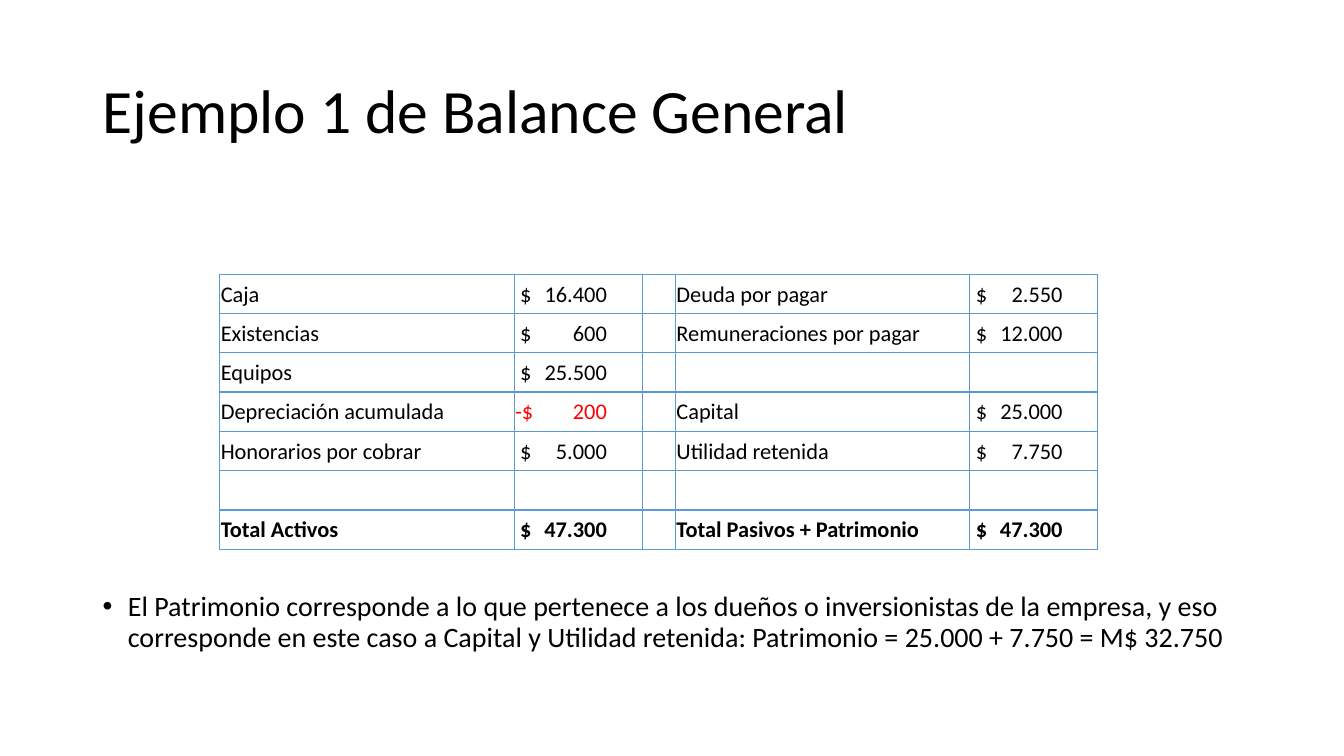
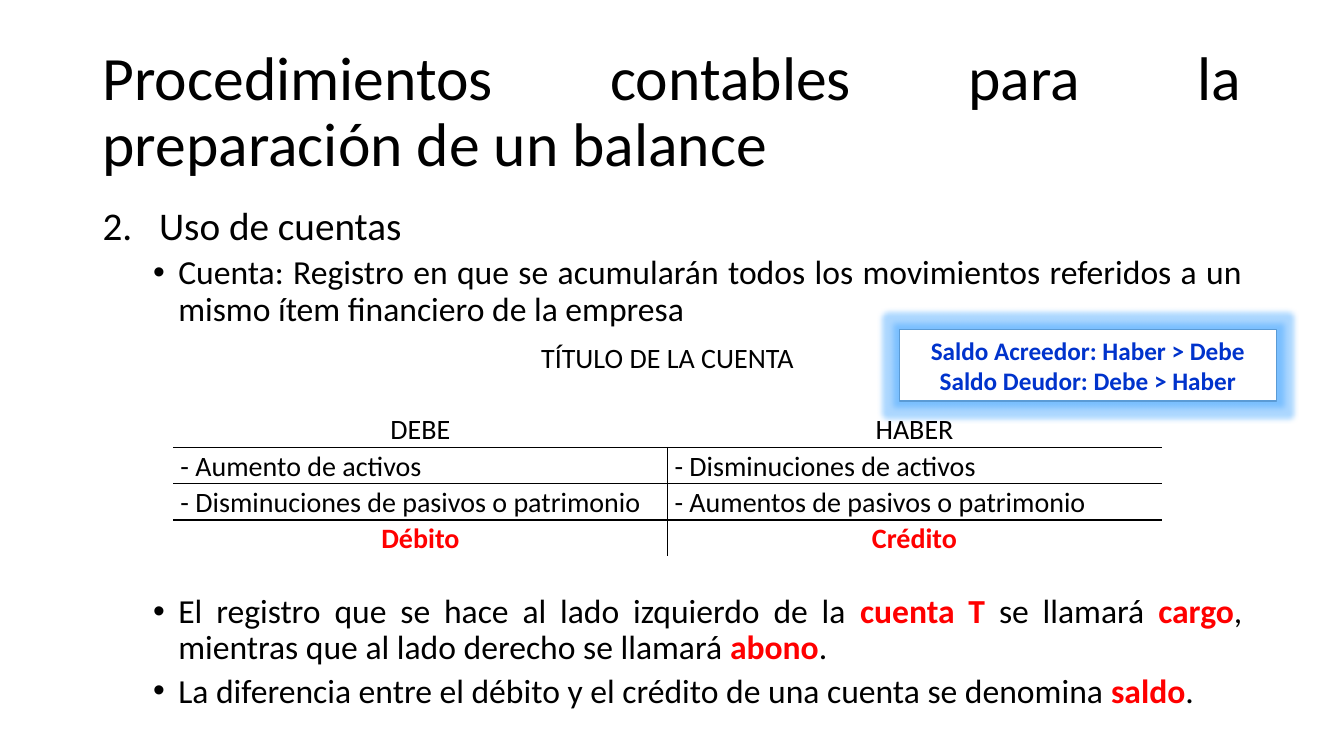
from dataclasses import dataclass

from lxml import etree
from pptx import Presentation
from pptx.dml.color import RGBColor
from pptx.enum.shapes import MSO_SHAPE
from pptx.enum.text import MSO_ANCHOR, PP_ALIGN
from pptx.oxml.ns import qn
from pptx.util import Pt

LEFT, CENTER, JUSTIFY = PP_ALIGN.LEFT, PP_ALIGN.CENTER, PP_ALIGN.JUSTIFY
TOP, MIDDLE, BOTTOM = MSO_ANCHOR.TOP, MSO_ANCHOR.MIDDLE, MSO_ANCHOR.BOTTOM
RECTANGLE = MSO_SHAPE.RECTANGLE

PX = 9144  # EMU in one px, 100 px to the inch
FONT = "Calibri"
COLORS = {
    "text": "000000",
    "accent": "FF0000",
    "grid": "5B9BD5",
    "balance": "0033CC",
    "paper": "FFFFFF",
}
NO_STYLE = "{2D5ABB26-0587-4C30-8999-92F81FD0307C}"
BODY_LEFT, BODY_WIDTH = 92, 1150
AMOUNT_END = 92  # right edge of the figures inside an amount cell
CELL_GAP = 1


@dataclass(frozen=True)
class Bullet:
    mark: str
    indent: int
    hang: int
    start: int = 0


@dataclass(frozen=True)
class Item:
    text: str
    bullet: Bullet
    size: int
    align: PP_ALIGN = JUSTIFY
    before: int = 0


@dataclass(frozen=True)
class BalanceRow:
    asset: str = ""
    asset_amount: str = ""
    claim: str = ""
    claim_amount: str = ""
    bold: bool = False


@dataclass(frozen=True)
class AccountRow:
    height: int
    debit: str = ""
    credit: str = ""
    align: PP_ALIGN = CENTER
    debit_lines: str = ""
    credit_lines: str = ""


NUMBER_TWO = Bullet("arabicPeriod", 56, 56, start=2)
DOT = Bullet("•", 25, 25)
SUB_DOT = Bullet("•", 75, 25)

BALANCE = [
    BalanceRow("Caja", "$\t16.400", "Deuda por pagar", "$\t2.550"),
    BalanceRow("Existencias", "$\t600", "Remuneraciones por pagar", "$\t12.000"),
    BalanceRow("Equipos", "$\t25.500"),
    BalanceRow("Depreciación acumulada", "-$\t200", "Capital", "$\t25.000"),
    BalanceRow("Honorarios por cobrar", "$\t5.000", "Utilidad retenida", "$\t7.750"),
    BalanceRow(),
    BalanceRow("Total Activos", "$\t47.300", "Total Pasivos + Patrimonio", "$\t47.300", bold=True),
]
ACCOUNT = [
    AccountRow(35, "TÍTULO DE LA CUENTA"),
    AccountRow(33),
    AccountRow(38, "DEBE", "HABER", CENTER, "B", "B"),
    AccountRow(36, "- Aumento de activos", "- Disminuciones de activos", LEFT, "TRB", "LTB"),
    AccountRow(36, "- Disminuciones de pasivos o patrimonio",
               "- Aumentos de pasivos o patrimonio", LEFT, "TRB", "LTB"),
    AccountRow(36, "*Débito*", "*Crédito*", CENTER, "TR", "LT"),
]


def px(*lengths):
    return [length * PX for length in lengths]


def rgb(name):
    return RGBColor.from_string(COLORS[name])


def child(parent, tag, **attributes):
    element = etree.SubElement(parent, qn(tag))
    for key, value in attributes.items():
        element.set(key, str(value))
    return element


def add_bullet(paragraph, bullet: Bullet):
    properties = paragraph._p.get_or_add_pPr()
    properties.set("marL", str(bullet.indent * PX))
    properties.set("indent", str(-bullet.hang * PX))
    if bullet.start:
        child(properties, "a:buAutoNum", type=bullet.mark, startAt=bullet.start)
    else:
        child(properties, "a:buFont", typeface="Arial")
        child(properties, "a:buChar", char=bullet.mark)


def write(paragraph, text: str, *, size: int, color="text", bold=False, align=LEFT,
          spacing=None, before=0, bullet=None, tab=0):
    """Fill one paragraph; words between asterisks are bold and in the accent colour."""
    paragraph.alignment = align
    paragraph.space_before = Pt(before)
    if spacing:
        paragraph.line_spacing = spacing
    if bullet:
        add_bullet(paragraph, bullet)
    if tab:
        tabs = child(paragraph._p.get_or_add_pPr(), "a:tabLst")
        child(tabs, "a:tab", pos=tab * PX, algn="r")
    for index, part in enumerate(text.split("*")):
        if not part:
            continue
        marked = index % 2 == 1
        run = paragraph.add_run()
        run.text = part
        run.font.name, run.font.size = FONT, Pt(size)
        run.font.bold = bold or marked
        run.font.color.rgb = rgb("accent" if marked else color)


def add_frame(slide, left, top, width, height, anchor=TOP):
    frame = slide.shapes.add_textbox(*px(left, top, width, height)).text_frame
    frame.word_wrap = True
    frame.vertical_anchor = anchor
    return frame


def add_title(slide, text: str, align=LEFT):
    frame = add_frame(slide, BODY_LEFT, 40, BODY_WIDTH, 145, MIDDLE)
    write(frame.paragraphs[0], text, size=44, align=align, spacing=0.9)


def add_items(slide, top: int, height: int, items: list[Item]):
    frame = add_frame(slide, BODY_LEFT, top, BODY_WIDTH, height)
    for index, item in enumerate(items):
        paragraph = frame.add_paragraph() if index else frame.paragraphs[0]
        write(paragraph, item.text, size=item.size, align=item.align, spacing=0.9,
              before=item.before, bullet=item.bullet)


def add_plain_table(slide, left, top, widths: list[int], heights: list[int]):
    table = slide.shapes.add_table(
        len(heights), len(widths), *px(left, top, sum(widths), sum(heights))).table
    table.first_row = table.horz_banding = False
    table._tbl.tblPr.find(qn("a:tableStyleId")).text = NO_STYLE
    for column, width in zip(table.columns, widths):
        column.width = width * PX
    for row, height in zip(table.rows, heights):
        row.height = height * PX
    return table


def format_cell(cell, anchor, lines: str, line_color: str, margin_left=CELL_GAP):
    """Set margins, anchor and the 1 pt borders on the sides named by letter."""
    cell.vertical_anchor = anchor
    cell.margin_left, cell.margin_right = px(margin_left, CELL_GAP)
    cell.margin_top, cell.margin_bottom = px(CELL_GAP, 0)
    properties = cell._tc.get_or_add_tcPr()
    for side in "LRTB":
        if side in lines:
            line = child(properties, f"a:ln{side}", w=Pt(1))
            child(child(line, "a:solidFill"), "a:srgbClr", val=COLORS[line_color])
    cell.fill.background()


def add_balance(slide):
    table = add_plain_table(slide, 218, 272, [292, 127, 33, 292, 127], [39] * len(BALANCE))
    for row_index, row in enumerate(BALANCE):
        texts = [row.asset, row.asset_amount, "", row.claim, row.claim_amount]
        for column, text in enumerate(texts):
            cell = table.cell(row_index, column)
            negative = text.startswith("-")
            is_amount = "\t" in text
            margin = 6 if is_amount and not negative else CELL_GAP
            format_cell(cell, MIDDLE, "LRTB", "grid", margin)
            write(cell.text_frame.paragraphs[0], text, size=16, bold=row.bold,
                  color="accent" if negative else "text",
                  tab=AMOUNT_END - margin if is_amount else 0)


def add_account(slide):
    table = add_plain_table(slide, 172, 338, [490, 490], [row.height for row in ACCOUNT])
    table.cell(0, 0).merge(table.cell(0, 1))
    for row_index, row in enumerate(ACCOUNT):
        sides = [(row.debit, row.debit_lines), (row.credit, row.credit_lines)]
        for column, (text, lines) in enumerate(sides):
            cell = table.cell(row_index, column)
            format_cell(cell, BOTTOM, lines, "text", 7 if row.align == LEFT else CELL_GAP)
            write(cell.text_frame.paragraphs[0], text, size=20, align=row.align)


def add_balance_rule(slide):
    """Draw the glowing box that tells the two kinds of balance apart."""
    box = slide.shapes.add_shape(RECTANGLE, *px(892, 327, 374, 71))
    box.shadow.inherit = False
    box.fill.solid()
    box.fill.fore_color.rgb = rgb("paper")
    box.line.color.rgb = rgb("grid")
    box.line.width = Pt(1)
    glow = child(box._element.spPr.find(qn("a:effectLst")), "a:glow", rad=Pt(8))
    tint = child(glow, "a:srgbClr", val=COLORS["grid"])
    child(tint, "a:satMod", val=175000)
    child(tint, "a:alpha", val=40000)
    frame = box.text_frame
    frame.word_wrap = True
    rules = ["Saldo Acreedor: Haber > Debe", "Saldo Deudor: Debe > Haber"]
    for index, rule in enumerate(rules):
        paragraph = frame.add_paragraph() if index else frame.paragraphs[0]
        write(paragraph, rule, size=18, color="balance", bold=True, align=CENTER)


def build_balance_slide(slide):
    add_title(slide, "Ejemplo 1 de Balance General")
    add_balance(slide)
    add_items(slide, 583, 93, [
        Item("El Patrimonio corresponde a lo que pertenece a los dueños o inversionistas de la "
             "empresa, y eso corresponde en este caso a Capital y Utilidad retenida: "
             "Patrimonio = 25.000 + 7.750 = M$ 32.750", DOT, 20, LEFT),
    ])


def build_account_slide(slide):
    add_title(slide, "Procedimientos contables para la preparación de un balance", JUSTIFY)
    add_items(slide, 200, 130, [
        Item("Uso de cuentas", NUMBER_TWO, 28),
        Item("Cuenta: Registro en que se acumularán todos los movimientos referidos a un mismo "
             "ítem financiero de la empresa", SUB_DOT, 24, before=5),
    ])
    add_balance_rule(slide)
    add_account(slide)
    add_items(slide, 585, 146, [
        Item("El registro que se hace al lado izquierdo de la *cuenta T* se llamará *cargo*, "
             "mientras que al lado derecho se llamará *abono*.", SUB_DOT, 24),
        Item("La diferencia entre el débito y el crédito de una cuenta se denomina *saldo*.",
             SUB_DOT, 24, before=5),
    ])


def main():
    presentation = Presentation()
    presentation.slide_width, presentation.slide_height = px(1333, 750)
    blank = presentation.slide_layouts[6]
    for build in (build_balance_slide, build_account_slide):
        build(presentation.slides.add_slide(blank))
    presentation.save("out.pptx")


if __name__ == "__main__":
    main()
